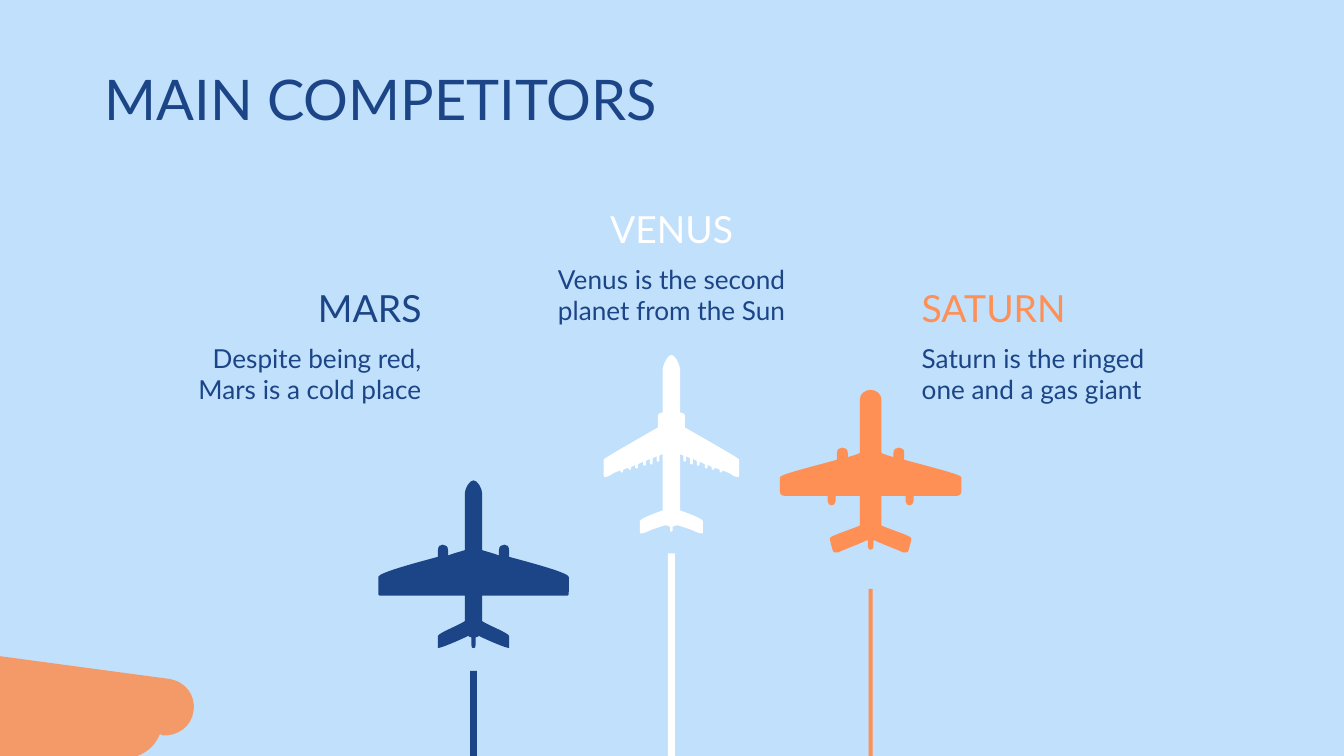
from dataclasses import dataclass
from math import cos, radians, sin

from lxml.etree import SubElement
from pptx import Presentation
from pptx.dml.color import RGBColor as RGB
from pptx.enum.shapes import MSO_SHAPE as Kind
from pptx.enum.text import MSO_ANCHOR as Anchor, MSO_AUTO_SIZE as Fit, PP_ALIGN as Align
from pptx.oxml.ns import qn
from pptx.util import Cm, Pt


@dataclass(frozen=True)
class Theme:
    font: str = "Lato"
    sky: RGB = RGB(0xC1, 0xE0, 0xFB)
    navy: RGB = RGB(0x1C, 0x45, 0x87)
    white: RGB = RGB(0xFF, 0xFF, 0xFF)
    orange: RGB = RGB(0xFF, 0x90, 0x55)
    peach: RGB = RGB(0xF4, 0x99, 0x68)
    title: int = 30
    head: int = 20
    body: int = 14


@dataclass(frozen=True)
class Box:
    """A region of the slide, in centimetres."""
    x: float
    y: float
    w: float
    h: float


THEME = Theme()
TRAIL_END = 16.18

# Half outlines from nose to tail as (distance from axis, distance from nose);
# pairs are straight steps, sixes are Bezier steps.
NAVY_HALF = [
    (0, 0), (3, 0, 6.5, 6, 6.5, 10), (6.5, 52), (9, 53, 14, 54, 19, 56),
    (19, 52), (19, 49, 21, 48, 23, 48), (25, 48, 26.5, 49, 26.5, 52),
    (26.5, 57), (45, 62, 71, 69, 71, 72), (71, 83), (71, 85, 71, 86, 70, 86),
    (6.5, 86), (6.5, 105), (11, 108, 26.5, 114, 26.5, 116), (26.5, 125),
    (24, 125, 10, 119, 4, 116), (3, 117, 2, 117, 1.5, 117), (1.5, 123),
    (1.5, 125, 1, 125, 0, 125),
]

# Small flap tracks along the white wing: outer x, wing edge, tip
TRACKS = [(38, 86, 88), (32, 84, 86), (27, 82, 85),
          (21, 79.5, 83), (16, 77.5, 82), (11, 75.5, 80)]
FLAPS = [step for x, edge, tip in TRACKS for step in (
    (x, edge), (x, tip - 1), (x, tip, x - 2, tip, x - 2, tip - 1), (x - 2, edge - 0.5))]
WHITE_HALF = [
    (0, 0), (3, 0, 6.5, 8, 6.5, 11), (6.5, 43), (9, 43, 10, 44, 10, 45),
    (10, 54), (22, 61, 50.5, 77, 50.5, 78), (50.5, 90),
    (50.5, 91, 50, 91, 49, 91), (48, 91, 46, 90, 43, 88), *FLAPS,
    (6.5, 74), (6.5, 116), (10, 117, 23.5, 122, 23.5, 124), (23.5, 133),
    (22, 133), (21, 133, 18, 132, 14, 130), (10, 129, 6, 127, 4, 127),
    (3, 127, 2, 128, 1, 128), (1, 131), (1, 131.5, 0.5, 132, 0, 132),
]

ORANGE_HALF = [
    (0, 0), (4, 0, 8, 3, 8, 7), (8, 47), (10, 48, 13, 49, 17, 50),
    (17, 47), (17, 44, 19, 43, 21, 43), (23, 43, 25, 44, 25, 47), (25, 52),
    (43, 57, 67.5, 63, 67.5, 65), (67.5, 76), (67.5, 77, 67, 79, 63, 79),
    (32, 79), (32, 83), (32, 85, 30, 86, 29, 86), (28, 86, 26, 85, 26, 83),
    (26, 79), (8, 79), (8, 101), (15, 104, 28, 108, 30, 110),
    (31, 110, 29, 117, 28, 120), (28, 121, 27, 121, 27, 121), (24, 121),
    (23, 120, 9, 115, 3, 112), (2, 112), (2, 117), (2, 118, 1, 119, 0, 119),
]

CLOUD = [
    (31, 176), (12, 172, 0, 155, 2, 137), (21, 0), (326, 41),
    (338, 43, 346, 53, 344, 65), (343, 76, 332, 84, 321, 83), (319, 82),
    (315, 93, 304, 100, 293, 100), (288, 110, 279, 115, 269, 114),
    (265, 113, 260, 111, 257, 107), (253, 109), (247, 114, 240, 116, 232, 116),
    (232, 121), (230, 133, 222, 143, 210, 146), (207, 147, 202, 147, 199, 147),
    (191, 146, 184, 142, 179, 136), (177, 133), (175, 134),
    (172, 138, 168, 140, 164, 141), (155, 143, 148, 140, 144, 138),
    (136, 143, 127, 146, 120, 143), (113, 142, 107, 140, 102, 135),
    (100, 147, 89, 155, 77, 153), (75, 153, 72, 152, 69, 150),
    (65, 167, 49, 178, 31, 176),
]


def pairs(step):
    return list(zip(step[::2], step[1::2]))


def mirror(half):
    """Close a half outline by walking back up the other side of its axis."""
    back = []
    for last, step in zip(half[-2::-1], half[:0:-1]):
        dots = pairs(step)[-2::-1] + [last[-2:]]
        back.append(tuple(n for x, y in dots for n in (-x, y)))
    return half + back


def spin(steps, angle):
    """Turn an outline about its zero point."""
    c, s = cos(radians(angle)), sin(radians(angle))
    return [tuple(n for x, y in pairs(step) for n in (x * c - y * s, x * s + y * c))
            for step in steps]


def paint(shape, color):
    shape.fill.solid()
    shape.fill.fore_color.rgb = color
    shape.line.fill.background()
    shape.shadow.inherit = False


def draw(slide, box, steps, color):
    """Draw a closed outline, scaled to the width of the box."""
    dots = [dot for step in steps for dot in pairs(step)]
    left, top = (min(side) for side in zip(*dots))
    unit = box.w / (max(x for x, _ in dots) - left)
    spots = [(Cm(box.x + (x - left) * unit), Cm(box.y + (y - top) * unit))
             for x, y in dots]
    pen = slide.shapes.build_freeform(*spots[0])
    pen.add_line_segments(spots[1:], close=True)
    shape = pen.convert_to_shape()
    paint(shape, color)

    # Join each run of three points into one Bezier step
    track = next(shape.element.iter(qn("a:path")))
    lines = iter(track.findall(qn("a:lnTo")))
    for step in steps[1:]:
        group = [next(lines) for _ in pairs(step)]
        if len(group) == 3:
            curve = SubElement(track, qn("a:cubicBezTo"))
            group[0].addprevious(curve)
            for line in group:
                curve.append(line[0])
                track.remove(line)
    return shape


def place(shape, box):
    shape.left, shape.top = Cm(box.x), Cm(box.y)
    shape.width, shape.height = Cm(box.w), Cm(box.h)


def write(shape, text, size, color, align=Align.LEFT, anchor=Anchor.TOP):
    frame = shape.text_frame
    frame.text = text
    frame.word_wrap = True
    frame.auto_size = Fit.NONE
    frame.vertical_anchor = anchor
    frame.margin_left = frame.margin_right = Cm(0.25)
    frame.margin_top = frame.margin_bottom = Cm(0.25)
    para = frame.paragraphs[0]
    para.alignment = align
    font = para.runs[0].font
    font.name, font.size, font.color.rgb = THEME.font, Pt(size), color


def add_title(slide, box, text):
    title = slide.shapes.title
    place(title, box)
    write(title, text, THEME.title, THEME.navy, anchor=Anchor.BOTTOM)


def add_plane(slide, box, half, color, trail):
    """A mirrored plane, with its trail hanging from the foot of the box."""
    draw(slide, box, mirror(half), color)
    foot = box.y + box.h
    streak = slide.shapes.add_shape(
        Kind.RECTANGLE, Cm(box.x + (box.w - trail) / 2), Cm(foot),
        Cm(trail), Cm(TRAIL_END - foot))
    paint(streak, color)


def add_label(slide, box, name, note, color, align):
    """A name with its note below."""
    lead = 1.08
    rows = [(name, THEME.head, color, 0, 1.8),
            (note, THEME.body, THEME.navy, lead, box.h - lead)]
    for text, size, tint, drop, high in rows:
        area = slide.shapes.add_textbox(0, 0, 0, 0)
        place(area, Box(box.x, box.y + drop, box.w, high))
        write(area, text, size, tint, align)


def add_cloud(slide, box, angle):
    cloud = draw(slide, box, spin(CLOUD, -angle), THEME.peach)
    cloud.rotation = angle


def main():
    deck = Presentation()
    deck.slide_width, deck.slide_height = Cm(25.4), Cm(14.29)
    slide = deck.slides.add_slide(deck.slide_layouts[5])
    slide.background.fill.solid()
    slide.background.fill.fore_color.rgb = THEME.sky

    add_title(slide, Box(1.73, 1.14, 13.13, 1.6), "MAIN COMPETITORS")

    # Planes, each box reaching down to the start of its trail
    add_plane(slide, Box(14.74, 7.37, 3.43, 3.76), ORANGE_HALF, THEME.orange, 0.08)
    add_plane(slide, Box(11.41, 6.71, 2.56, 3.75), WHITE_HALF, THEME.white, 0.13)
    add_plane(slide, Box(7.15, 9.08, 3.6, 3.6), NAVY_HALF, THEME.navy, 0.13)

    # Labels in three even columns
    labels = [
        (5.14, "MARS", "Despite being red, Mars is a cold place", THEME.navy, Align.RIGHT),
        (3.64, "VENUS", "Venus is the second planet from the Sun", THEME.white, Align.CENTER),
        (5.14, "SATURN", "Saturn is the ringed one and a gas giant", THEME.orange, Align.LEFT),
    ]
    for i, (top, *rest) in enumerate(labels):
        add_label(slide, Box(2.99 + i * 7.09, top, 5.23, 3.42), *rest)

    # Cloud in the corner
    add_cloud(slide, Box(-4.88, 12.32, 8.36, 4.39), 187.8)

    deck.save("out.pptx")


if __name__ == "__main__":
    main()
